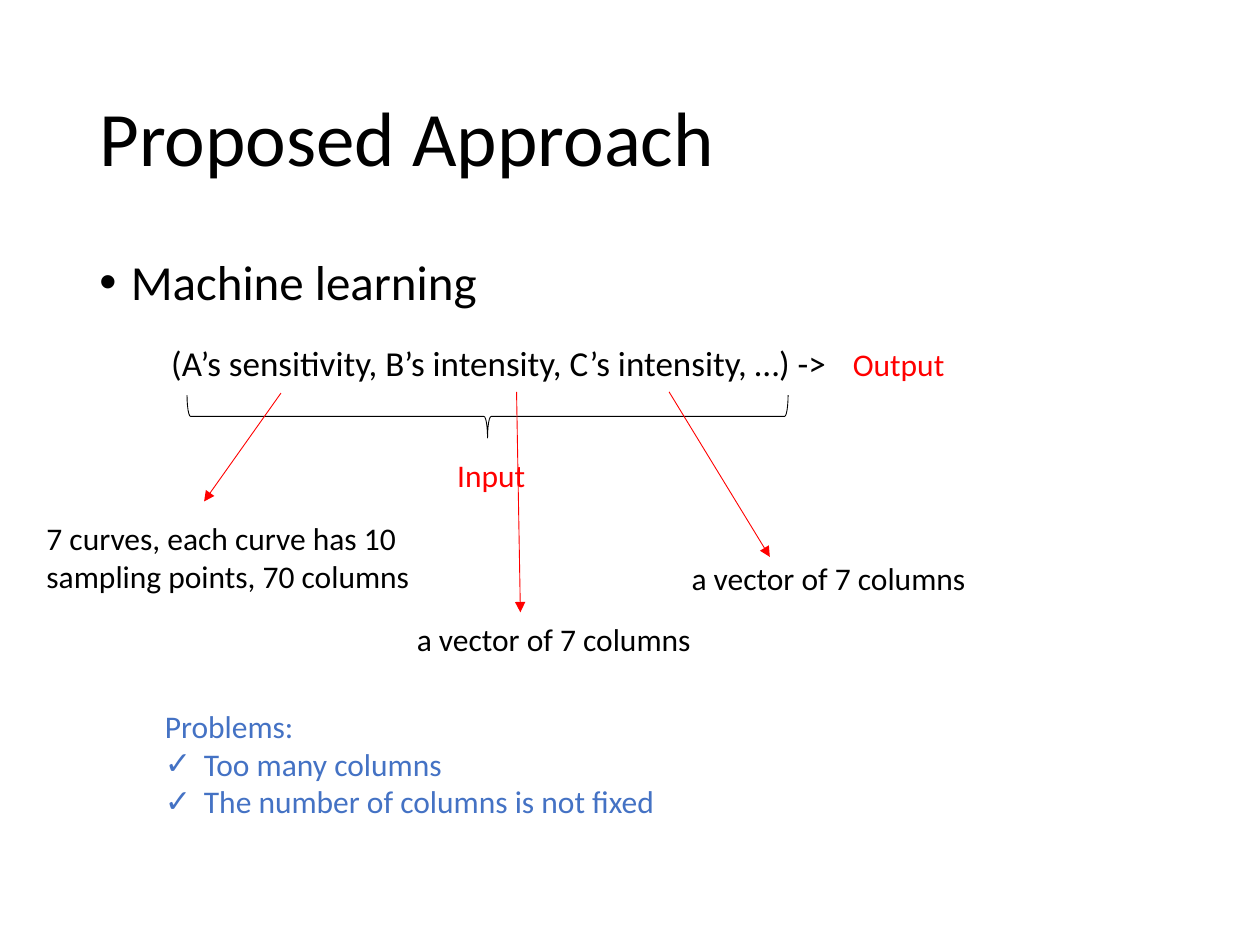
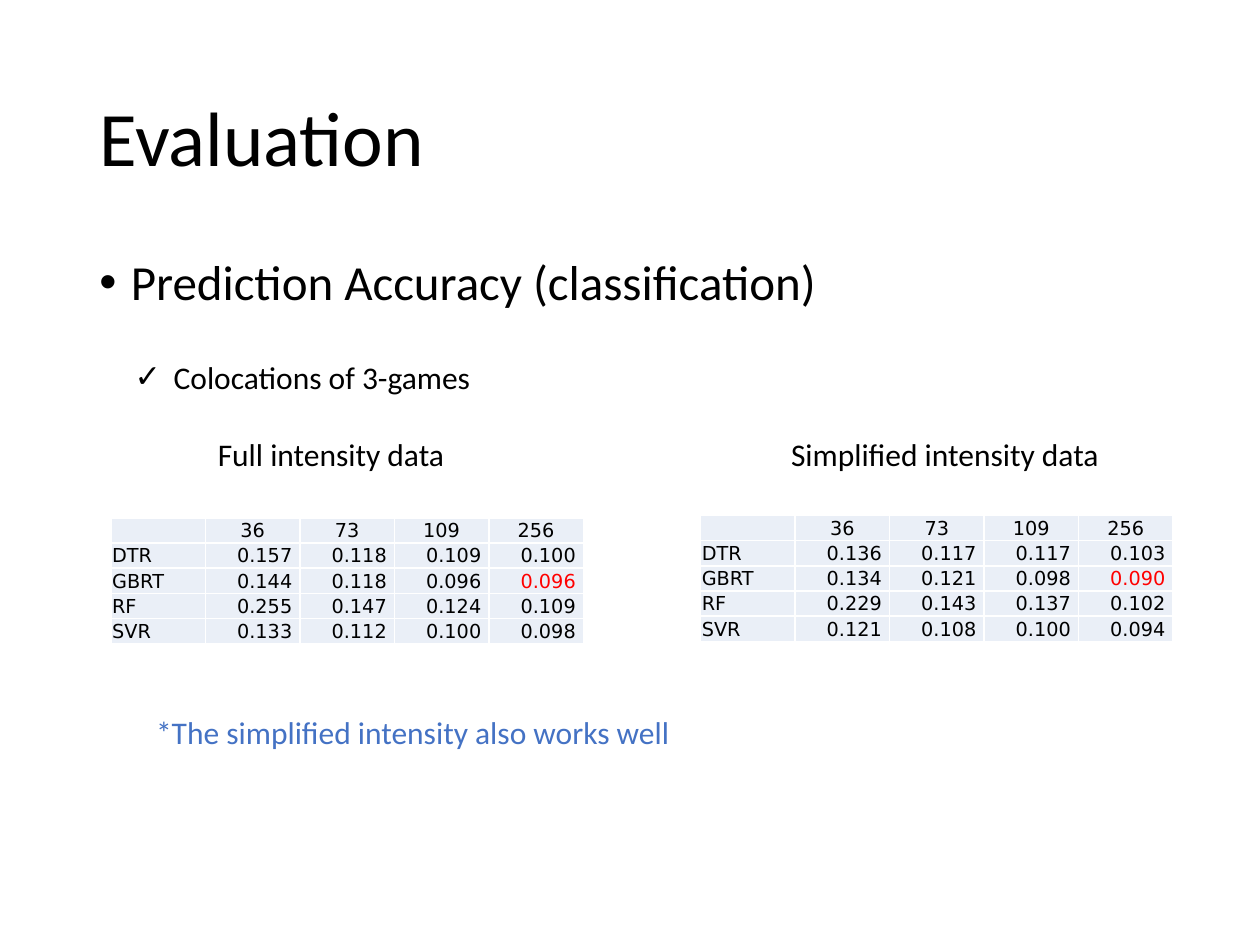
from lxml.etree import SubElement
from pptx import Presentation
from pptx.dml.color import RGBColor
from pptx.enum.shapes import MSO_CONNECTOR, MSO_SHAPE
from pptx.enum.text import MSO_ANCHOR, PP_ALIGN
from pptx.oxml.ns import qn
from pptx.util import Inches, Pt

BLACK, RED, BLUE = "000000", "FF0000", "4472C4"
CELL_FILL, CELL_BORDER = "EAEFF7", "FFFFFF"
BODY_FONT, TABLE_FONT = "Calibri", "DejaVu Sans"
LINE_WIDTH = Pt(0.5)
COL_WIDTH, ROW_HEIGHT = 0.75, 0.2

CELL_FORMAT = {
    "margin_left": Inches(0.01), "margin_top": Inches(0.01),
    "margin_right": Inches(0.06), "margin_bottom": 0,
    "vertical_anchor": MSO_ANCHOR.MIDDLE,
}
COLUMN_HEADS = ["", "36", "73", "109", "256"]
FULL_ERRORS = {
    "DTR": ["0.157", "0.118", "0.109", "0.100"],
    "GBRT": ["0.144", "0.118", "0.096", "0.096"],
    "RF": ["0.255", "0.147", "0.124", "0.109"],
    "SVR": ["0.133", "0.112", "0.100", "0.098"],
}
SIMPLIFIED_ERRORS = {
    "DTR": ["0.136", "0.117", "0.117", "0.103"],
    "GBRT": ["0.134", "0.121", "0.098", "0.090"],
    "RF": ["0.229", "0.143", "0.137", "0.102"],
    "SVR": ["0.121", "0.108", "0.100", "0.094"],
}


def rgb(color):
    return RGBColor.from_string(color)


def set_attrs(obj, values):
    for name, value in values.items():
        setattr(obj, name, value)


def add_run(p, text, size, color=BLACK, font=BODY_FONT):
    r = p.add_run()
    r.text = text
    set_attrs(r.font, {"size": Pt(size), "name": font})
    r.font.color.rgb = rgb(color)


def add_bullet(p, char, indent):
    pPr = p._p.get_or_add_pPr()
    pPr.set("marL", str(Inches(indent)))
    pPr.set("indent", str(-Inches(indent)))
    SubElement(pPr, qn("a:buFont")).set("typeface", "Arial")
    SubElement(pPr, qn("a:buChar")).set("char", char)


def add_text(s, box, lines, size=18, color=BLACK, bullet=None, indent=0.31,
             spacing=None, anchor=MSO_ANCHOR.TOP, wrap=True):
    """Add one paragraph per line; a bullet marks the lines after a heading ending in a colon."""
    tf = s.shapes.add_textbox(*map(Inches, box)).text_frame
    set_attrs(tf, {"word_wrap": wrap, "vertical_anchor": anchor})
    for i, line in enumerate(lines):
        p = tf.add_paragraph() if i else tf.paragraphs[0]
        if bullet and not line.endswith(":"):
            add_bullet(p, bullet, indent)
        if spacing:
            p.line_spacing = spacing
        add_run(p, line, size, color)


def add_topic_slide(prs, title, topic):
    s = prs.slides.add_slide(prs.slide_layouts[6])
    add_text(s, (0.69, 0.4, 8.62, 1.45), [title], 44, spacing=0.9,
             anchor=MSO_ANCHOR.MIDDLE)
    add_text(s, (0.69, 2, 9.25, 0.67), [topic], 28, bullet="•", indent=0.25,
             spacing=0.9)
    return s


def add_arrow(s, start, end):
    sp = s.shapes.add_connector(MSO_CONNECTOR.STRAIGHT,
                                *map(Inches, start + end))
    sp.line.color.rgb = rgb(RED)
    sp.line.width = LINE_WIDTH
    SubElement(sp.line._get_or_add_ln(), qn("a:tailEnd")).set("type", "triangle")
    SubElement(sp._element.spPr, qn("a:effectLst"))


def add_brace(s, box):
    """Add a brace that is turned to point down."""
    sp = s.shapes.add_shape(MSO_SHAPE.LEFT_BRACE, *map(Inches, box))
    sp.rotation = 270
    sp.shadow.inherit = False
    sp.fill.background()
    sp.line.color.rgb = rgb(BLACK)
    sp.line.width = LINE_WIDTH


def style_cell(cell):
    set_attrs(cell, CELL_FORMAT)
    tcPr = cell._tc.get_or_add_tcPr()
    for side in ("lnL", "lnR", "lnT", "lnB"):
        ln = SubElement(tcPr, qn(f"a:{side}"), w=str(Pt(1)))
        fill = SubElement(ln, qn("a:solidFill"))
        SubElement(fill, qn("a:srgbClr"), val=CELL_BORDER)
    cell.fill.solid()
    cell.fill.fore_color.rgb = rgb(CELL_FILL)


def add_error_table(s, left, top, errors):
    """Add a table of errors per model, with the last GBRT value in red."""
    rows = [COLUMN_HEADS] + [[model, *values] for model, values in errors.items()]
    n_rows, n_cols = len(rows), len(COLUMN_HEADS)
    table = s.shapes.add_table(
        n_rows, n_cols, Inches(left), Inches(top),
        Inches(COL_WIDTH * n_cols), Inches(ROW_HEIGHT * n_rows)).table
    set_attrs(table, {"first_row": False, "horz_banding": False})
    for i, row in enumerate(rows):
        for j, text in enumerate(row):
            cell = table.cell(i, j)
            style_cell(cell)
            p = cell.text_frame.paragraphs[0]
            if not text:
                SubElement(p._p, qn("a:endParaRPr"), sz="1100")
                continue
            if i == 0:
                p.alignment = PP_ALIGN.CENTER
                cell.margin_right = cell.margin_left
            elif j > 0:
                p.alignment = PP_ALIGN.RIGHT
            is_marked = row[0] == "GBRT" and j == n_cols - 1
            add_run(p, text, 11, RED if is_marked else BLACK, TABLE_FONT)


def build_approach(prs):
    s = add_topic_slide(prs, "Proposed Approach", "Machine learning")
    add_text(s, (1.26, 2.66, 7.71, 0.44),
             ["(A’s sensitivity, B’s intensity, C’s intensity, …) ->"], 20)
    add_brace(s, (3.7, 0.92, 0.34, 4.77))
    add_text(s, (3.53, 3.57, 1.32, 0.4), ["Input"], color=RED)
    add_text(s, (6.67, 2.69, 1.32, 0.4), ["Output"], color=RED)
    add_text(s, (0.27, 4.07, 3.41, 0.71),
             ["7 curves, each curve has 10 sampling points, 70 columns"])
    for left, top in ((3.21, 4.87), (5.39, 4.39)):
        add_text(s, (left, top, 2.6, 0.4), ["a vector of 7 columns"])
    for start, end in (((2.23, 3.12), (1.62, 3.98)),
                       ((4.1, 3.11), (4.13, 4.86)),
                       ((5.31, 3.11), (6.11, 4.42))):
        add_arrow(s, start, end)
    add_text(s, (1.21, 5.56, 5.32, 1.01),
             ["Problems:", "Too many columns",
              "The number of columns is not fixed"], color=BLUE, bullet="✓")


def build_evaluation(prs):
    s = add_topic_slide(prs, "Evaluation", "Prediction Accuracy (classification)")
    add_text(s, (0.97, 2.79, 6.55, 0.4), ["Colocations of 3-games"], bullet="✓")
    add_text(s, (1.63, 3.4, 2.02, 0.4), ["Full intensity data"], wrap=False)
    add_text(s, (6.18, 3.4, 2.67, 0.4), ["Simplified intensity data"], wrap=False)
    add_text(s, (1.14, 5.61, 5.01, 0.4),
             ["*The simplified intensity also works well"], color=BLUE)
    add_error_table(s, 0.88, 4.11, FULL_ERRORS)
    add_error_table(s, 5.56, 4.09, SIMPLIFIED_ERRORS)


def main():
    prs = Presentation()
    set_attrs(prs, {"slide_width": Inches(10), "slide_height": Inches(7.5)})
    build_approach(prs)
    build_evaluation(prs)
    prs.save("out.pptx")


if __name__ == "__main__":
    main()
